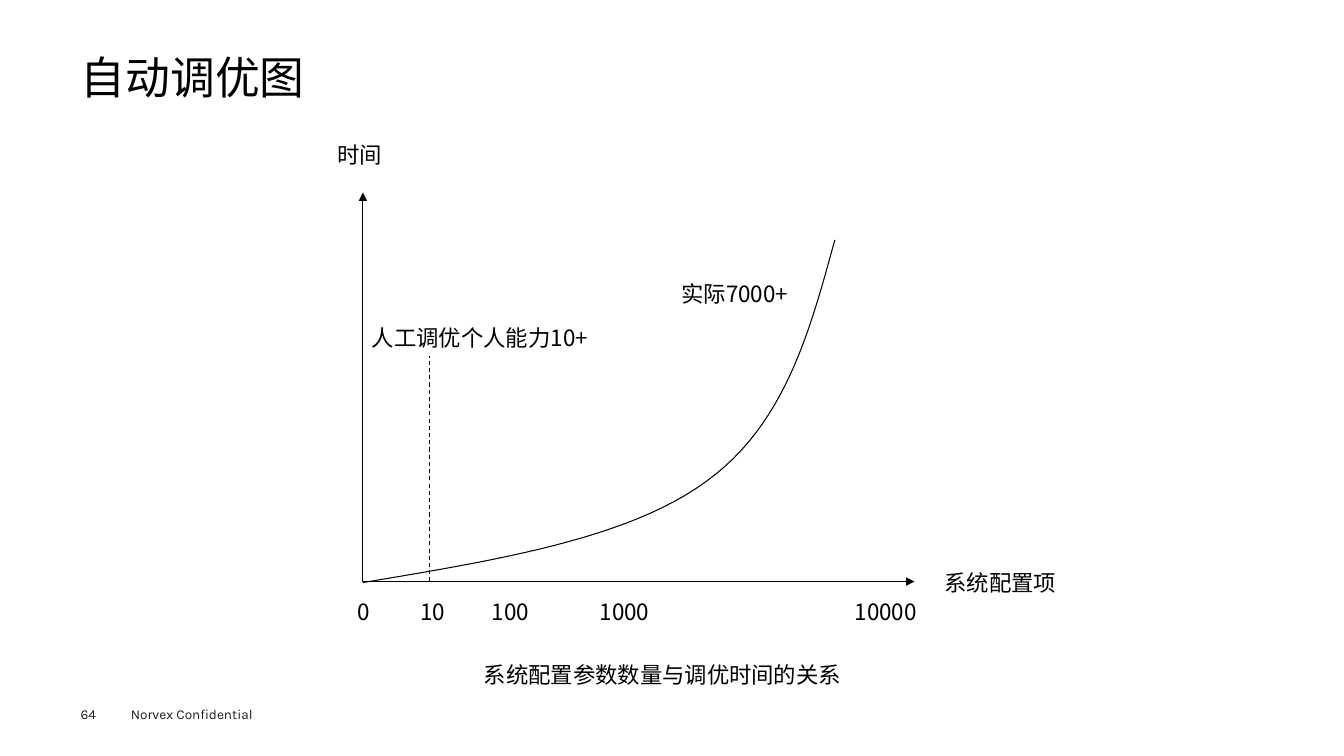
from lxml import etree
from pptx import Presentation
from pptx import util as u
from pptx.dml.color import RGBColor
from pptx.enum import dml, shapes, text
from pptx.oxml.ns import qn

CJK, LATIN = "Noto Sans CJK SC", "Karla"
BLACK, GREY = "000000", "1D1D1B"

TITLE = ("自动调优图", 0.8, 0.49, 11.73, 0.54)
FOOTER = ("Norvex Confidential", 1.2, 6.95, 1.6, 0.27)
PAGE = ("64", 0.8, 7, 0.55, 0.16)

TICK_TOP, LABEL_H = 5.88, 0.37
TICKS = [("0", 3.45, 0.33), ("10", 4.07, 0.51), ("100", 4.78, 0.69),
         ("1000", 5.85, 0.73), ("10000", 8.38, 0.93)]
LABELS = [
    ("时间", 3.25, 1.35, 0.69, LABEL_H),
    ("系统配置项", 9.27, 5.59, 1.38, LABEL_H),
    ("人工调优个人能力10+", 3.59, 3.16, 2.44, LABEL_H),
    ("实际7000+", 6.66, 2.59, 1.31, 0.64),
    ("系统配置参数数量与调优时间的关系", 4.7, 6.51, 3.78, LABEL_H),
]

ORIGIN = (3.6, 5.77)
X_END, Y_END = (9.07, 5.77), (3.6, 1.91)
MANUAL_LIMIT = ((4.26, 5.77), (4.26, 3.53))
CURVE = [
    [(3.6, 5.78), (4.91, 5.56), (6.22, 5.35), (7, 4.78)],
    [(7, 4.78), (7.78, 4.22), (8.03, 3.3), (8.28, 2.38)],
]
STEPS = 24


def color(value):
    return RGBColor.from_string(value)


def add_text(s, content, x, y, w, h, size=16, font=CJK, fill=BLACK,
             anchor=text.MSO_ANCHOR.MIDDLE, inset=(0.1, 0.05), spacing=None):
    sp = s.shapes.add_textbox(*map(u.Inches, (x, y, w, h)))
    tf = sp.text_frame
    tf.word_wrap = True
    tf.vertical_anchor = anchor
    tf.margin_left = tf.margin_right = u.Inches(inset[0])
    tf.margin_top = tf.margin_bottom = u.Inches(inset[1])
    tf.text = content
    p = tf.paragraphs[0]
    p.line_spacing = spacing
    r = p.runs[0]
    r.font.size = u.Pt(size)
    r.font.name = font
    r.font.color.rgb = color(fill)
    ea = etree.SubElement(r.font._element, qn("a:ea"))
    ea.set("typeface", font)


def style_line(sp):
    sp.line.color.rgb = color(BLACK)
    sp.line.width = u.Pt(0.75)


def add_line(s, start, end, arrow=False, dashed=False):
    c = s.shapes.add_connector(shapes.MSO_CONNECTOR.STRAIGHT,
                               *map(u.Inches, start + end))
    style_line(c)
    if dashed:
        c.line.dash_style = dml.MSO_LINE.DASH
    if arrow:
        tail = etree.SubElement(c.line._get_or_add_ln(), qn("a:tailEnd"))
        tail.set("type", "triangle")
    etree.SubElement(c._element.spPr, qn("a:effectLst"))


def bezier(points, t):
    weights = ((1 - t) ** 3, 3 * t * (1 - t) ** 2, 3 * t ** 2 * (1 - t), t ** 3)
    return tuple(u.Inches(sum(w * p[axis] for w, p in zip(weights, points)))
                 for axis in (0, 1))


def add_curve(s):
    points = [bezier(CURVE[0], 0)]
    points += [bezier(seg, i / STEPS) for seg in CURVE for i in range(1, STEPS + 1)]
    builder = s.shapes.build_freeform(*points[0])
    builder.add_line_segments(points[1:], close=False)
    sp = builder.convert_to_shape()
    sp.shadow.inherit = False
    sp.fill.background()
    style_line(sp)


def main():
    prs = Presentation()
    prs.slide_width, prs.slide_height = u.Inches(13.33), u.Inches(7.5)
    s = prs.slides.add_slide(prs.slide_layouts[6])

    add_text(s, *FOOTER, size=9.7, font=LATIN, fill=GREY,
             anchor=text.MSO_ANCHOR.TOP)
    add_text(s, *PAGE, size=9.7, font=LATIN, fill=GREY,
             anchor=text.MSO_ANCHOR.TOP, inset=(0, 0))
    add_text(s, *TITLE, size=32, anchor=text.MSO_ANCHOR.BOTTOM,
             inset=(0, 0), spacing=0.9)

    for end in (X_END, Y_END):
        add_line(s, ORIGIN, end, arrow=True)
    add_curve(s)
    add_line(s, *MANUAL_LIMIT, dashed=True)

    for label, x, w in TICKS:
        add_text(s, label, x, TICK_TOP, w, LABEL_H)
    for label in LABELS:
        add_text(s, *label)

    prs.save("out.pptx")


if __name__ == "__main__":
    main()
